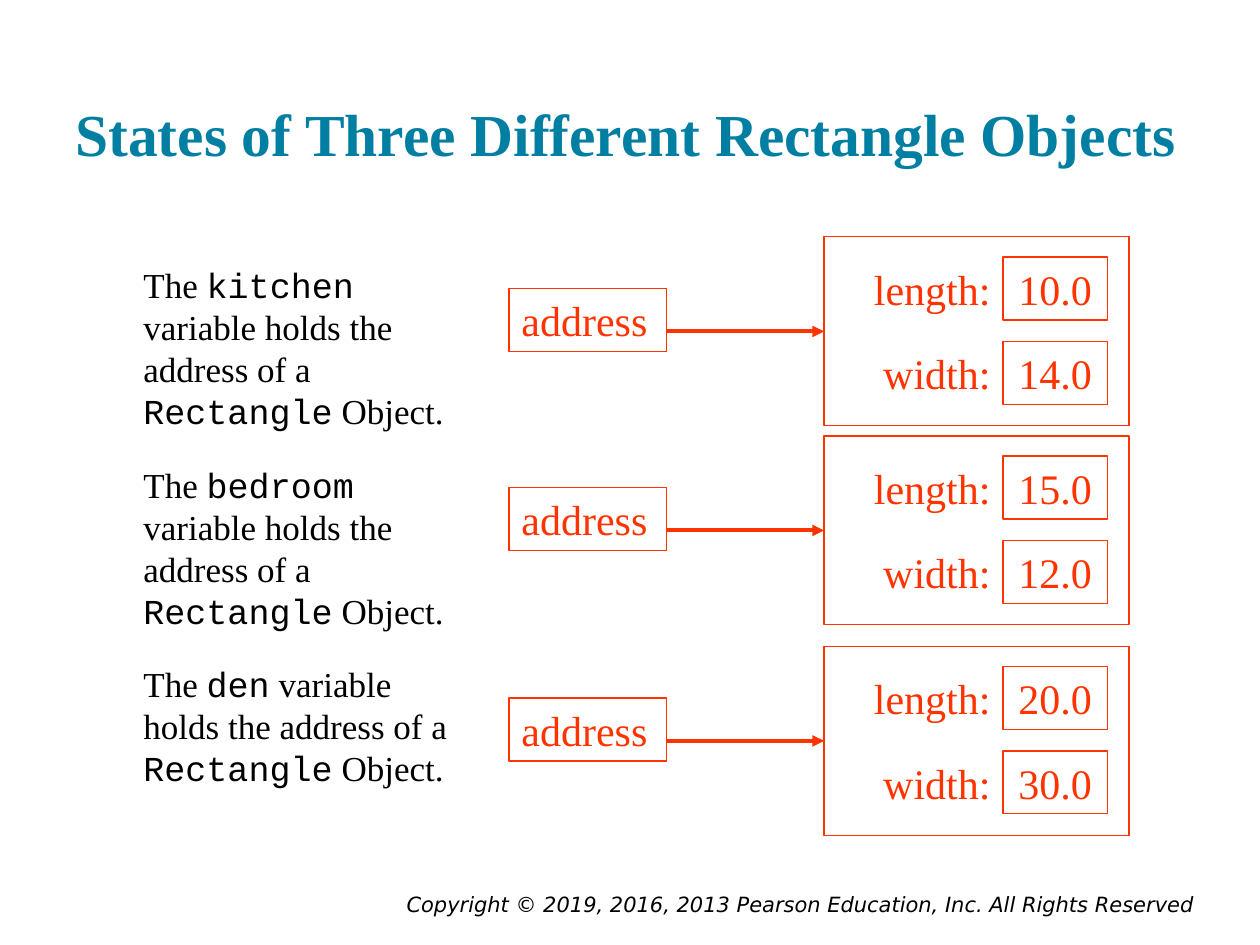
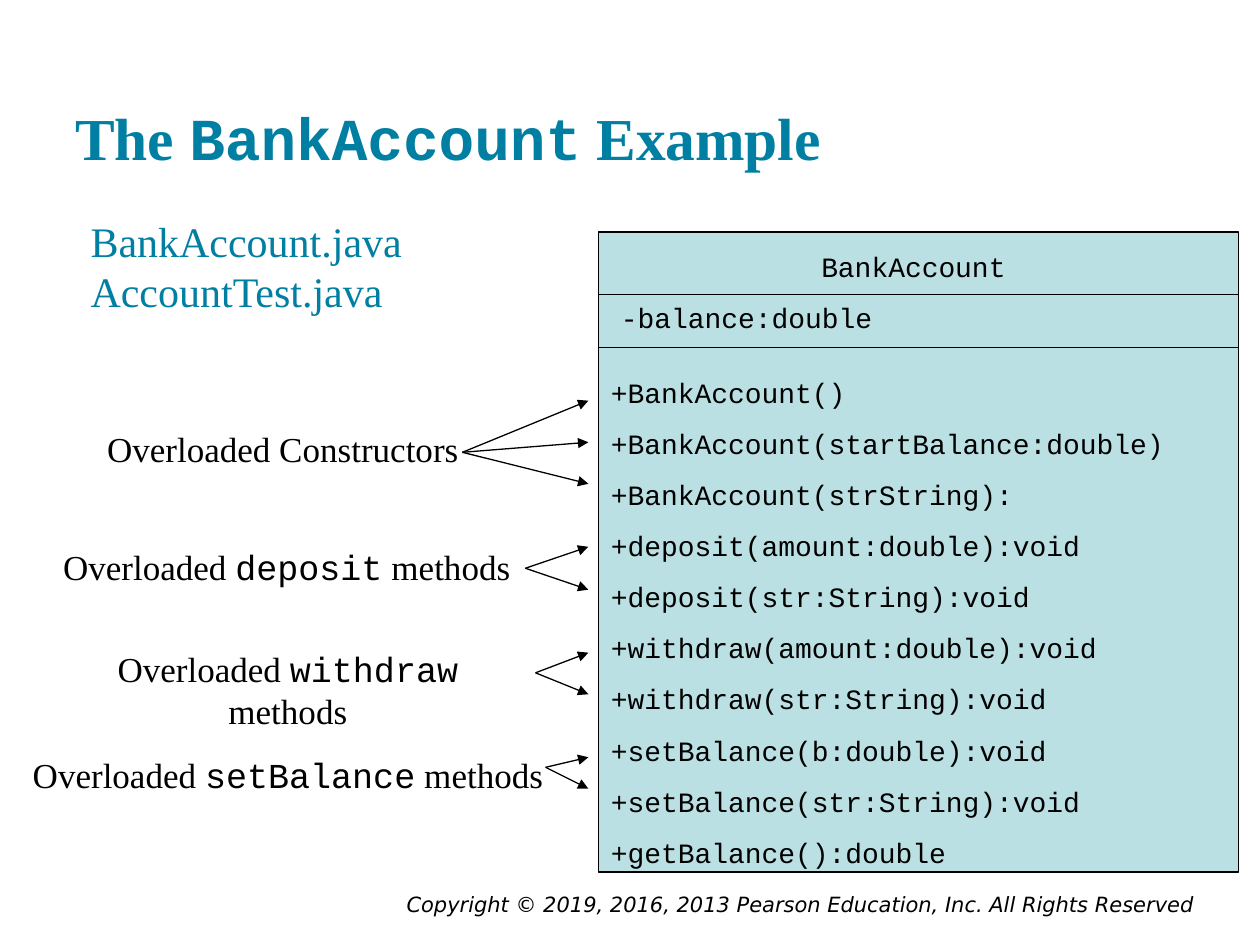
from lxml import etree
from pptx import Presentation, util as u
from pptx.dml.color import RGBColor
from pptx.enum import shapes, text
from pptx.oxml import ns

# Content: text between backticks is set in the code font
COPYRIGHT = "Copyright © 2019, 2016, 2013 Pearson Education, Inc. All Rights Reserved"
STATES_TITLE = "States of Three Different Rectangle Objects"
ACCOUNT_TITLE = "The `BankAccount` Example"

# variable, state box top, description top, field values
OBJECTS = [
    ("kitchen", 1.88, 2.04, {"length:": "10.0", "width:": "14.0"}),
    ("bedroom", 3.46, 3.63, {"length:": "15.0", "width:": "12.0"}),
    ("den", 5.13, 5.21, {"length:": "20.0", "width:": "30.0"}),
]
DESCRIPTION = "The `{}` variable holds the address of a `Rectangle` Object."

FILES = "BankAccount.java AccountTest.java"
CLASS_NAME = "`BankAccount`"
FIELD = "`-balance:double`"
METHODS = [
    "+BankAccount()",
    "+BankAccount(startBalance:double)",
    "+BankAccount(strString):",
    "+deposit(amount:double):void",
    "+deposit(str:String):void",
    "+withdraw(amount:double):void",
    "+withdraw(str:String):void",
    "+setBalance(b:double):void",
    "+setBalance(str:String):void",
    "+getBalance():double",
]
# label, its left, top and width, arrow start, arrow end heights
OVERLOADS = [
    ("Overloaded Constructors", (0.75, 3.34, 2.99), (3.67, 3.59), (3.18, 3.51, 3.84)),
    ("Overloaded `deposit` methods", (0.4, 4.28, 3.75), (4.17, 4.51), (4.34, 4.68)),
    ("Overloaded `withdraw` methods", (0.33, 5.09, 3.91), (4.25, 5.34), (5.18, 5.51)),
    ("Overloaded `setBalance` methods", (0.16, 5.93, 4.25), (4.33, 6.09), (6.01, 6.26)),
]

# Shared look
BLACK = RGBColor(0x00, 0x00, 0x00)
TEAL = RGBColor(0x00, 0x7F, 0xA3)
RED = RGBColor(0xFF, 0x33, 0x00)
PALE_BLUE = RGBColor(0xBB, 0xE0, 0xE3)
BODY_FONT, CODE_FONT, FOOTER_FONT = "Times New Roman", "Courier New", "DejaVu Sans"
LINE_HEIGHT = 1.2
CENTER, RIGHT = text.PP_ALIGN.CENTER, text.PP_ALIGN.RIGHT
TOP, BOTTOM = text.MSO_ANCHOR.TOP, text.MSO_ANCHOR.BOTTOM

# Grid of the object diagram
ADDRESS_LEFT, ADDRESS_WIDTH, ADDRESS_DROP = 4.04, 1.25, 0.41
STATE_LEFT, STATE_WIDTH, STATE_HEIGHT = 6.54, 2.42, 1.5
LABEL_LEFT, LABEL_WIDTH, VALUE_WIDTH = 6.71, 1.25, 0.83
FIELD_DROP, FIELD_STEP, FIELD_HEIGHT = 0.16, 0.67, 0.5

# Grid of the class diagram
CLASS_LEFT, CLASS_TOP, CLASS_SIDE = 4.75, 1.84, 5.08
DIVIDERS = (2.34, 2.76)
ARROW_END = 4.67


def inches(*lengths):
    return [u.Inches(length) for length in lengths]


def write(box, lines, size, color=BLACK, font=BODY_FONT, align=None, anchor=TOP,
          inset=0.05, wrap=True, gap=0, spaced=True, **style):
    """Fill a box with paragraphs, switching font at each backtick."""
    frame = box.text_frame
    layout = {"word_wrap": wrap, "vertical_anchor": anchor,
              "margin_left": u.Inches(0.1), "margin_right": u.Inches(0.1),
              "margin_top": u.Inches(inset), "margin_bottom": u.Inches(inset)}
    for name, value in layout.items():
        setattr(frame, name, value)
    for row, line in enumerate(lines):
        para = frame.add_paragraph() if row else frame.paragraphs[0]
        para.alignment = align
        if row:
            para.space_before = u.Pt(gap)
        if spaced:
            para.line_spacing = u.Pt(round(size * LINE_HEIGHT, 1))
        for part, words in enumerate(line.split("`")):
            if not words:
                continue
            span = para.add_run()
            span.text = words
            look = {"name": CODE_FONT if part % 2 else font, "size": u.Pt(size), **style}
            for name, value in look.items():
                setattr(span.font, name, value)
            span.font.color.rgb = color


def add_text(page, place, lines, size, **style):
    box = page.shapes.add_textbox(*inches(*place))
    write(box, lines, size, **style)
    return box


def add_rect(page, place, line_color, fill=None):
    rect = page.shapes.add_shape(shapes.MSO_SHAPE.RECTANGLE, *inches(*place))
    rect.shadow.inherit = False
    if fill is None:
        rect.fill.background()
    else:
        rect.fill.solid()
        rect.fill.fore_color.rgb = fill
    rect.line.color.rgb = line_color
    rect.line.width = u.Pt(0.75)
    return rect


def add_line(page, start, end, color=BLACK, width=0.75, arrow=False):
    line = page.shapes.add_connector(shapes.MSO_CONNECTOR.STRAIGHT, *inches(*start, *end))
    line.line.color.rgb = color
    line.line.width = u.Pt(width)
    if arrow:
        outline = line.line._get_or_add_ln()
        etree.SubElement(outline, ns.qn("a:tailEnd"), type="triangle")
    etree.SubElement(line._element.spPr, ns.qn("a:effectLst"))
    return line


def add_page(deck, title, title_top):
    """Start a slide with the shared title and footer."""
    page = deck.slides.add_slide(deck.slide_layouts[6])
    add_text(page, (1.75, 7.03, 7.83, 0.22), [COPYRIGHT], 12, font=FOOTER_FONT,
             align=RIGHT, spaced=False, italic=True)
    add_text(page, (0.5, title_top, 9, 1.2), [title], 34, color=TEAL, anchor=BOTTOM,
             inset=0.1, spaced=False, bold=True)
    return page


def add_object(page, variable, top, text_top, fields):
    """One variable, its address and the state it points to."""
    add_text(page, (1.04, text_top, 2.83, 1.44), [DESCRIPTION.format(variable)], 20)
    address = add_rect(page, (ADDRESS_LEFT, top + ADDRESS_DROP, ADDRESS_WIDTH, FIELD_HEIGHT), RED)
    write(address, ["address"], 24, color=RED)
    for row, (label, value) in enumerate(fields.items()):
        y = top + FIELD_DROP + row * FIELD_STEP
        add_text(page, (LABEL_LEFT, y, LABEL_WIDTH, FIELD_HEIGHT), [label], 24,
                 color=RED, align=RIGHT)
        cell = add_rect(page, (LABEL_LEFT + LABEL_WIDTH, y, VALUE_WIDTH, FIELD_HEIGHT), RED)
        write(cell, [value], 24, color=RED, align=CENTER)
    state = add_rect(page, (STATE_LEFT, top, STATE_WIDTH, STATE_HEIGHT), RED)
    middle = top + STATE_HEIGHT / 2
    arrow = add_line(page, (ADDRESS_LEFT + ADDRESS_WIDTH, middle), (STATE_LEFT, middle),
                     RED, 2.25, arrow=True)
    arrow.end_connect(state, 1)


def add_class_diagram(page):
    add_rect(page, (CLASS_LEFT, CLASS_TOP, CLASS_SIDE, CLASS_SIDE), BLACK, PALE_BLUE)
    for y in DIVIDERS:
        add_line(page, (CLASS_LEFT, y), (CLASS_LEFT + CLASS_SIDE, y))
    add_text(page, (CLASS_LEFT, 1.93, 5, 0.37), [CLASS_NAME], 16, align=CENTER)
    add_text(page, (4.83, DIVIDERS[0], 4.5, 0.37), [FIELD], 16)
    add_text(page, (CLASS_LEFT, 2.93, CLASS_SIDE, 4.02), METHODS, 16, font=CODE_FONT, gap=10)


def main():
    deck = Presentation()
    deck.slide_width, deck.slide_height = inches(10, 7.5)

    # Object states
    page = add_page(deck, STATES_TITLE, 0.24)
    for item in OBJECTS:
        add_object(page, *item)

    # Class with overloaded methods
    page = add_page(deck, ACCOUNT_TITLE, 0.27)
    add_text(page, (0.62, 1.66, 3.08, 0.9), [FILES], 24, color=TEAL)
    add_class_diagram(page)
    for label, (left, top, width), start, ends in OVERLOADS:
        add_text(page, (left, top, width, 0.44), [label], 20, align=CENTER, wrap=False)
        for end in ends:
            add_line(page, start, (ARROW_END, end), arrow=True)

    deck.save("out.pptx")


if __name__ == "__main__":
    main()
